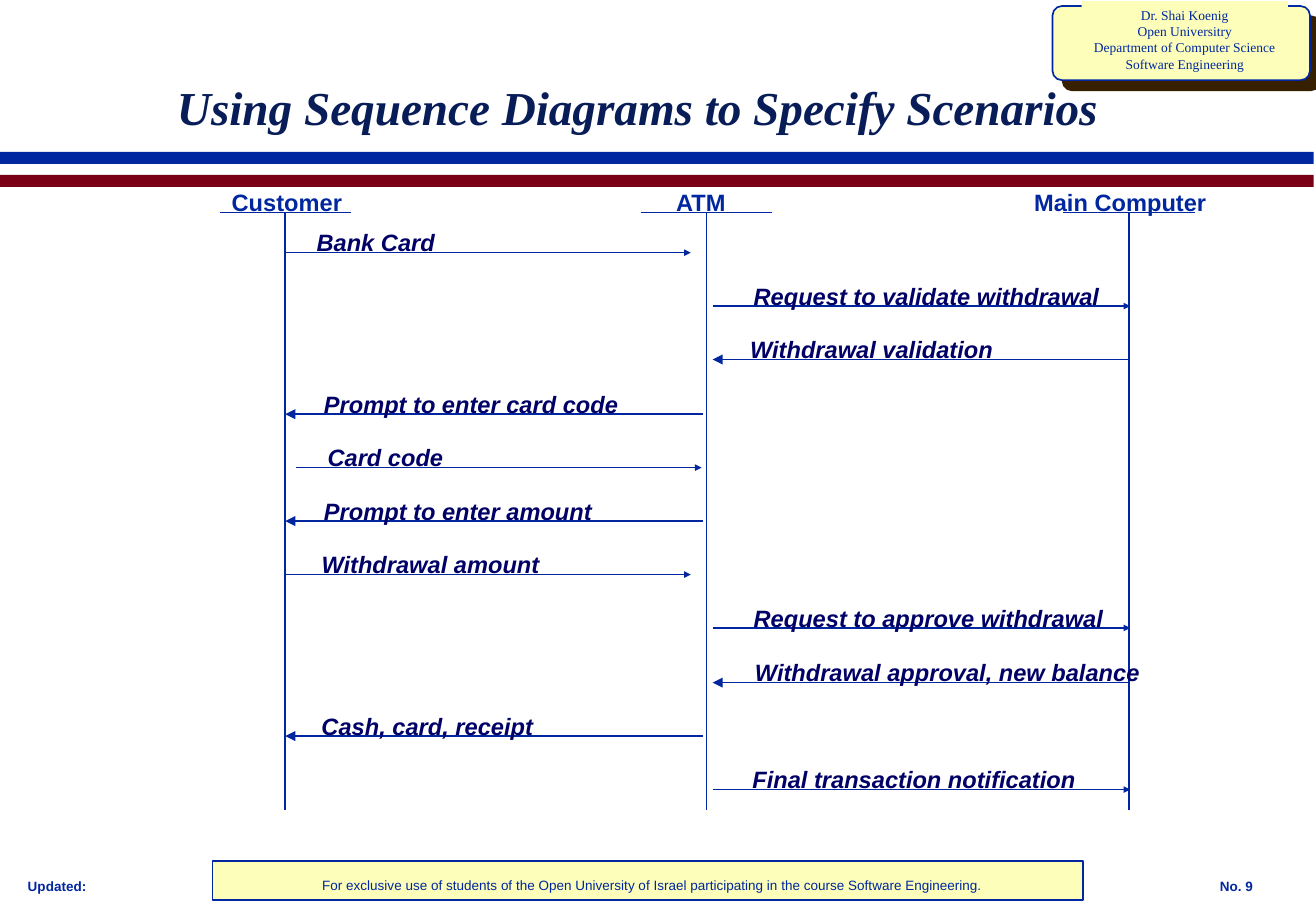
from dataclasses import dataclass

from lxml.etree import SubElement
from pptx import Presentation
from pptx.dml.color import RGBColor
from pptx.enum.shapes import MSO_CONNECTOR, MSO_SHAPE
from pptx.enum.text import MSO_ANCHOR, PP_ALIGN
from pptx.oxml.ns import qn
from pptx.shapes.autoshape import Shape
from pptx.slide import Slide
from pptx.util import Emu, Pt

EMU_PER_PX = 9144  # 100 px to the inch

BLUE = RGBColor(0x00, 0x27, 0x9F)
RED = RGBColor(0x79, 0x00, 0x15)
CREAM = RGBColor(0xFC, 0xFE, 0xB9)
BROWN = RGBColor(0x37, 0x20, 0x00)
TITLE_NAVY = RGBColor(0x08, 0x1D, 0x58)
MESSAGE_NAVY = RGBColor(0x00, 0x00, 0x66)
SANS, SERIF = "Arial", "Times New Roman"

LIFELINE_TOP, LIFELINE_BOTTOM = 175, 667
LIFELINE_HALF_HEAD = 54
FIRST_MESSAGE_Y, MESSAGE_STEP = 208, 44.2
LABEL_RISE, LABEL_HEIGHT = 25, 34


@dataclass(frozen=True)
class Box:
    left: int
    top: int
    width: int
    height: int


@dataclass(frozen=True)
class TextStyle:
    font: str
    size: int
    color: RGBColor
    bold: bool = False
    italic: bool = False
    align: PP_ALIGN = PP_ALIGN.LEFT
    anchor: MSO_ANCHOR = MSO_ANCHOR.TOP
    wrap: bool = False


@dataclass(frozen=True)
class Participant:
    name: str
    x: int
    name_left: int
    name_width: int


@dataclass(frozen=True)
class Message:
    text: str
    start: int
    end: int
    text_left: int
    text_width: int


TITLE = TextStyle(SERIF, 28, TITLE_NAVY, bold=True, italic=True,
                  anchor=MSO_ANCHOR.MIDDLE, wrap=True)
AUTHOR = TextStyle(SERIF, 8, BLUE, align=PP_ALIGN.CENTER)
FOOTER = TextStyle(SANS, 8, BLUE, bold=True)
NOTICE = TextStyle(SANS, 8, BLUE, align=PP_ALIGN.CENTER, wrap=True)
PARTICIPANT = TextStyle(SANS, 14, BLUE, bold=True)
MESSAGE = TextStyle(SANS, 14, MESSAGE_NAVY, bold=True, italic=True)

PARTICIPANTS = [
    Participant("Customer", 235, 181, 125),
    Participant("ATM", 582, 547, 75),
    Participant("Main Computer", 930, 842, 175),
]

MESSAGES = [
    Message("Bank Card", 235, 569, 251, 130),
    Message("Request to validate withdrawal", 587, 931, 611, 320),
    Message("Withdrawal validation", 931, 587, 608, 235),
    Message("Prompt to enter card code", 579, 235, 257, 280),
    Message("Card code", 244, 578, 260, 130),
    Message("Prompt to enter amount", 579, 235, 257, 255),
    Message("Withdrawal amount", 235, 569, 255, 215),
    Message("Request to approve withdrawal", 587, 931, 611, 320),
    Message("Withdrawal approval, new balance", 931, 587, 612, 350),
    Message("Cash, card, receipt", 579, 235, 255, 210),
    Message("Final transaction notification", 587, 931, 610, 300),
]


def px(length: int) -> Emu:
    return Emu(length * EMU_PER_PX)


def place(box: Box) -> tuple[Emu, Emu, Emu, Emu]:
    return px(box.left), px(box.top), px(box.width), px(box.height)


def write(shape: Shape, lines: list[str], style: TextStyle) -> None:
    frame = shape.text_frame
    frame.word_wrap = style.wrap
    frame.vertical_anchor = style.anchor
    for index, line in enumerate(lines):
        paragraph = frame.add_paragraph() if index else frame.paragraphs[0]
        paragraph.alignment = style.align
        run = paragraph.add_run()
        run.text = line
        run.font.name = style.font
        run.font.size = Pt(style.size)
        run.font.bold = style.bold
        run.font.italic = style.italic
        run.font.color.rgb = style.color


def add_text(slide: Slide, box: Box, text: str, style: TextStyle) -> None:
    write(slide.shapes.add_textbox(*place(box)), [text], style)


def add_block(slide: Slide, box: Box, fill: RGBColor, outlined: bool = False,
              kind: MSO_SHAPE = MSO_SHAPE.RECTANGLE) -> Shape:
    shape = slide.shapes.add_shape(kind, *place(box))
    shape.shadow.inherit = False
    shape.fill.solid()
    shape.fill.fore_color.rgb = fill
    if outlined:
        shape.line.color.rgb = BLUE
        shape.line.width = Pt(1)
    else:
        shape.line.fill.background()
    return shape


def add_hard_shadow(shape: Shape, color: RGBColor) -> None:
    effects = shape._element.spPr.find(qn("a:effectLst"))
    shadow = SubElement(effects, qn("a:outerShdw"), blurRad="0",
                        dist=str(Pt(8.5)), dir="2700000", algn="ctr", rotWithShape="0")
    SubElement(shadow, qn("a:srgbClr"), val=str(color))


def add_line(slide: Slide, x1: int, y1: int, x2: int, y2: int,
             arrow_size: str = "") -> None:
    connector = slide.shapes.add_connector(
        MSO_CONNECTOR.STRAIGHT, px(x1), px(y1), px(x2), px(y2))
    connector.line.color.rgb = BLUE
    connector.line.width = Pt(1)
    if arrow_size:
        SubElement(connector.line._get_or_add_ln(), qn("a:tailEnd"),
                   type="triangle", w=arrow_size, len=arrow_size)
    SubElement(connector._element.spPr, qn("a:effectLst"))


def add_participant(slide: Slide, participant: Participant) -> None:
    x = participant.x
    add_line(slide, x, LIFELINE_TOP, x, LIFELINE_BOTTOM)
    add_line(slide, x - LIFELINE_HALF_HEAD, LIFELINE_TOP,
             x + LIFELINE_HALF_HEAD, LIFELINE_TOP)
    name_box = Box(participant.name_left, 150, participant.name_width, LABEL_HEIGHT)
    add_text(slide, name_box, participant.name, PARTICIPANT)


def add_message(slide: Slide, message: Message, y: int) -> None:
    arrow_size = "sm" if message.end > message.start else "med"
    add_line(slide, message.start, y, message.end, y, arrow_size)
    label_box = Box(message.text_left, y - LABEL_RISE, message.text_width, LABEL_HEIGHT)
    add_text(slide, label_box, message.text, MESSAGE)


def main() -> None:
    presentation = Presentation()
    presentation.slide_width, presentation.slide_height = px(1084), px(750)
    slide = presentation.slides.add_slide(presentation.slide_layouts[6])

    # Footer panel and the two bars under the title
    add_block(slide, Box(175, 709, 717, 32), CREAM, outlined=True)
    add_block(slide, Box(0, 125, 1082, 10), BLUE)
    add_block(slide, Box(0, 144, 1082, 10), RED)

    # Author card
    card = add_block(slide, Box(867, 5, 212, 61), CREAM, outlined=True,
                     kind=MSO_SHAPE.ROUNDED_RECTANGLE)
    card.adjustments[0] = 0.125
    add_hard_shadow(card, BROWN)
    author = add_block(slide, Box(891, 1, 170, 63), CREAM)
    write(author, ["Dr. Shai Koenig", "Open Universitry",
                   "Department of Computer Science", "Software Engineering"], AUTHOR)

    # Footer texts
    add_text(slide, Box(13, 718, 115, 23), "Updated:", FOOTER)
    add_text(slide, Box(995, 718, 85, 23), "No. 9", FOOTER)
    add_text(slide, Box(175, 717, 725, 24),
             "For exclusive use of students of the Open University of Israel "
             "participating in the course Software Engineering.", NOTICE)

    # Title
    add_text(slide, Box(136, 50, 850, 75),
             "Using Sequence Diagrams to Specify Scenarios", TITLE)

    # Sequence diagram
    for participant in PARTICIPANTS:
        add_participant(slide, participant)
    for index, message in enumerate(MESSAGES):
        add_message(slide, message, FIRST_MESSAGE_Y + round(index * MESSAGE_STEP))

    presentation.save("out.pptx")


if __name__ == "__main__":
    main()
